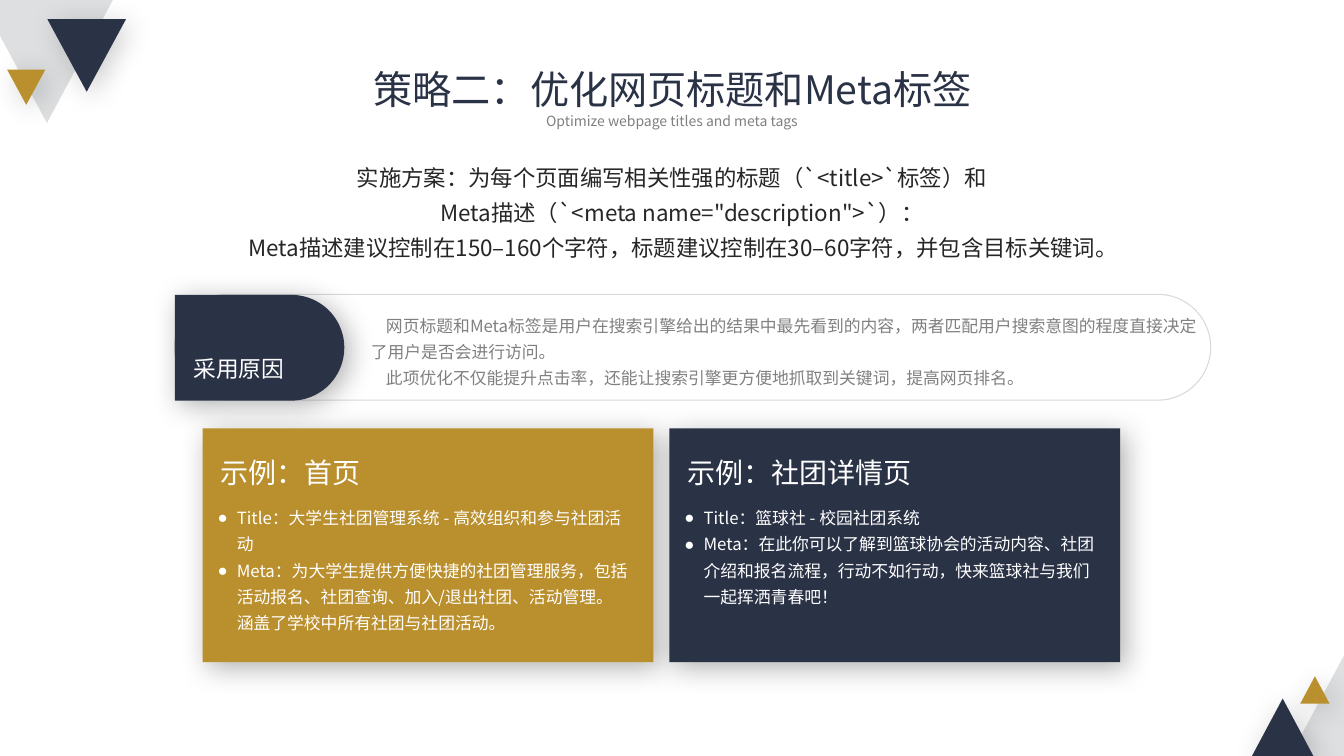
from pptx import Presentation
from pptx.util import Inches, Pt
from pptx.dml.color import RGBColor
from pptx.enum.shapes import MSO_SHAPE as Kind
from pptx.enum.text import PP_ALIGN as Align, MSO_ANCHOR as Anchor
from pptx.oxml.ns import qn
from lxml.etree import SubElement as Sub

WIDTH, HEIGHT = Inches(13.33), Inches(7.5)
FONT = "Noto Sans CJK SC"
NAVY = RGBColor(0x2A, 0x32, 0x46)
GOLD = RGBColor(0xBA, 0x8F, 0x2D)
PALE = RGBColor(0xDD, 0xDF, 0xE0)
RULE = RGBColor(0xD9, 0xD9, 0xD9)
GRAY = RGBColor(0x80, 0x80, 0x80)
INK = RGBColor(0x26, 0x26, 0x26)
WHITE = RGBColor(0xFF, 0xFF, 0xFF)
PAGE = (0, 0, WIDTH, HEIGHT)


def part(box, left, top, wide, high):
    x, y, w, h = box
    return (int(x + w * left / 100), int(y + h * top / 100),
            int(w * wide / 100), int(h * high / 100))


def shade(shape, alpha):
    effects = Sub(shape._element.spPr, qn("a:effectLst"))
    outer = Sub(effects, qn("a:outerShdw"), blurRad=str(Pt(20)), dist=str(Pt(5)),
                dir="2700000", algn="tl", rotWithShape="0")
    color = Sub(outer, qn("a:srgbClr"), val="000000")
    Sub(color, qn("a:alpha"), val=str(alpha * 1000))


def draw(slide, kind, box, fill=None, line=None, alpha=0, turn=0):
    shape = slide.shapes.add_shape(kind, *box)
    shape.rotation = turn
    if fill is None:
        shape.fill.background()
    else:
        shape.fill.solid()
        shape.fill.fore_color.rgb = fill
    if line is None:
        shape.line.fill.background()
    else:
        shape.line.color.rgb = line
        shape.line.width = Pt(0.75)
    if alpha:
        shade(shape, alpha)
    else:
        shape.shadow.inherit = False
    return shape


def write(slide, box, lines, size, color, align=Align.LEFT, space=1.3, wrap=True):
    frame = slide.shapes.add_textbox(*box).text_frame
    frame.word_wrap = wrap
    frame.vertical_anchor = Anchor.TOP
    frame.text = "\n".join(lines)
    for line in frame.paragraphs:
        line.alignment = align
        line.line_spacing = space
        for run in line.runs:
            font = run.font
            font.size, font.name, font.color.rgb = Pt(size), FONT, color
            Sub(run._r.get_or_add_rPr(), qn("a:ea"), typeface=FONT)
    return frame


def indent(line, left, first):
    props = line._p.get_or_add_pPr()
    props.set("marL", str(Inches(left)))
    props.set("indent", str(Inches(first)))
    return props


def corner(slide, box, turn, spots):
    for spot, fill, alpha in zip(spots, (PALE, NAVY, GOLD), (0, 20, 20)):
        draw(slide, Kind.ISOSCELES_TRIANGLE, part(box, *spot), fill, alpha=alpha, turn=turn)


def heading(slide, box, title, under):
    write(slide, part(box, 0, 0, 100, 80.5), [title], 28, NAVY, Align.CENTER, 1.2)
    write(slide, part(box, 8.7, 63.41, 82.44, 36.59), [under], 10, GRAY, Align.CENTER, 1.2)


def plan(slide, box, lines):
    frame = write(slide, box, lines, 16, INK, Align.CENTER)
    frame.margin_left = frame.margin_right = frame.margin_top = frame.margin_bottom = 0
    indent(frame.paragraphs[1], 0.2, 0)


def reason(slide, box, name, lines):
    pill = draw(slide, Kind.ROUNDED_RECTANGLE, box, line=RULE)
    pill.adjustments[0] = 0.5
    tab = draw(slide, Kind.ROUND_2_SAME_RECTANGLE, part(box, 3.11, -29.52, 10.21, 160),
               NAVY, alpha=30, turn=90)
    tab.adjustments[0], tab.adjustments[1] = 0.5, 0
    label = write(slide, part(box, 0.88, 22.86, 11.28, 55.24), [name], 28, WHITE, wrap=False)
    label.paragraphs[0].runs[0]._r.get_or_add_rPr().set("baseline", "-3000")
    body = write(slide, part(box, 18, 9.52, 81.81, 143.81), lines, 12, GRAY)
    for line in body.paragraphs:
        indent(line, 0, 0.15)


def card(slide, box, fill, title, lines):
    draw(slide, Kind.RECTANGLE, box, fill, alpha=30)
    write(slide, part(box, 1.79, 5.17, 75.84, 22.41), [title], 20, WHITE)
    body = write(slide, part(box, 1.12, 29.31, 95.53, 60.78), lines, 12, WHITE)
    for line in body.paragraphs:
        props = indent(line, 0.19, -0.19)
        Sub(props, qn("a:buFont"), typeface="Arial")
        Sub(props, qn("a:buChar"), char="●")


def main():
    deck = Presentation()
    deck.slide_width, deck.slide_height = WIDTH, HEIGHT
    slide = deck.slides.add_slide(deck.slide_layouts[6])
    corner(slide, part(PAGE, 0, 0, 10, 20), 180,
           [(-14.25, 0, 98.25, 81.33), (35.25, 12.67, 58.5, 48), (5.25, 46, 28.5, 23.33)])
    corner(slide, part(PAGE, 90, 80, 10, 20), 0,
           [(50.25, 34, 99, 82), (30.75, 62, 47.25, 39.33), (67.5, 47.33, 21.75, 18)])
    plan(slide, part(PAGE, 18.15, 20.67, 63.7, 18.67), [
        "实施方案：为每个页面编写相关性强的标题（`<title>`标签）和",
        "Meta描述（`<meta name=\"description\">`）：",
        "Meta描述建议控制在150–160个字符，标题建议控制在30–60字符，并包含目标关键词。"])
    reason(slide, part(PAGE, 12.98, 38.93, 77.1, 14), "采用原因", [
        "网页标题和Meta标签是用户在搜索引擎给出的结果中最先看到的内容，"
        "两者匹配用户搜索意图的程度直接决定了用户是否会进行访问。",
        "此项优化不仅能提升点击率，还能让搜索引擎更方便地抓取到关键词，提高网页排名。"])
    cards = [
        (GOLD, "示例：首页", [
            "Title：大学生社团管理系统 - 高效组织和参与社团活动",
            "Meta：为大学生提供方便快捷的社团管理服务，包括活动报名、社团查询、"
            "加入/退出社团、活动管理。涵盖了学校中所有社团与社团活动。"]),
        (NAVY, "示例：社团详情页", [
            "Title：篮球社 - 校园社团系统",
            "Meta：在此你可以了解到篮球协会的活动内容、社团介绍和报名流程，"
            "行动不如行动，快来篮球社与我们一起挥洒青春吧！"])]
    for col, (fill, title, lines) in enumerate(cards):
        card(slide, part(PAGE, 15.08 + col * 34.73, 56.67, 33.53, 30.93), fill, title, lines)
    heading(slide, part(PAGE, 26.33, 6.8, 47.4, 10.93),
            "策略二：优化网页标题和Meta标签", "Optimize webpage titles and meta tags")
    deck.save("out.pptx")


if __name__ == "__main__":
    main()
